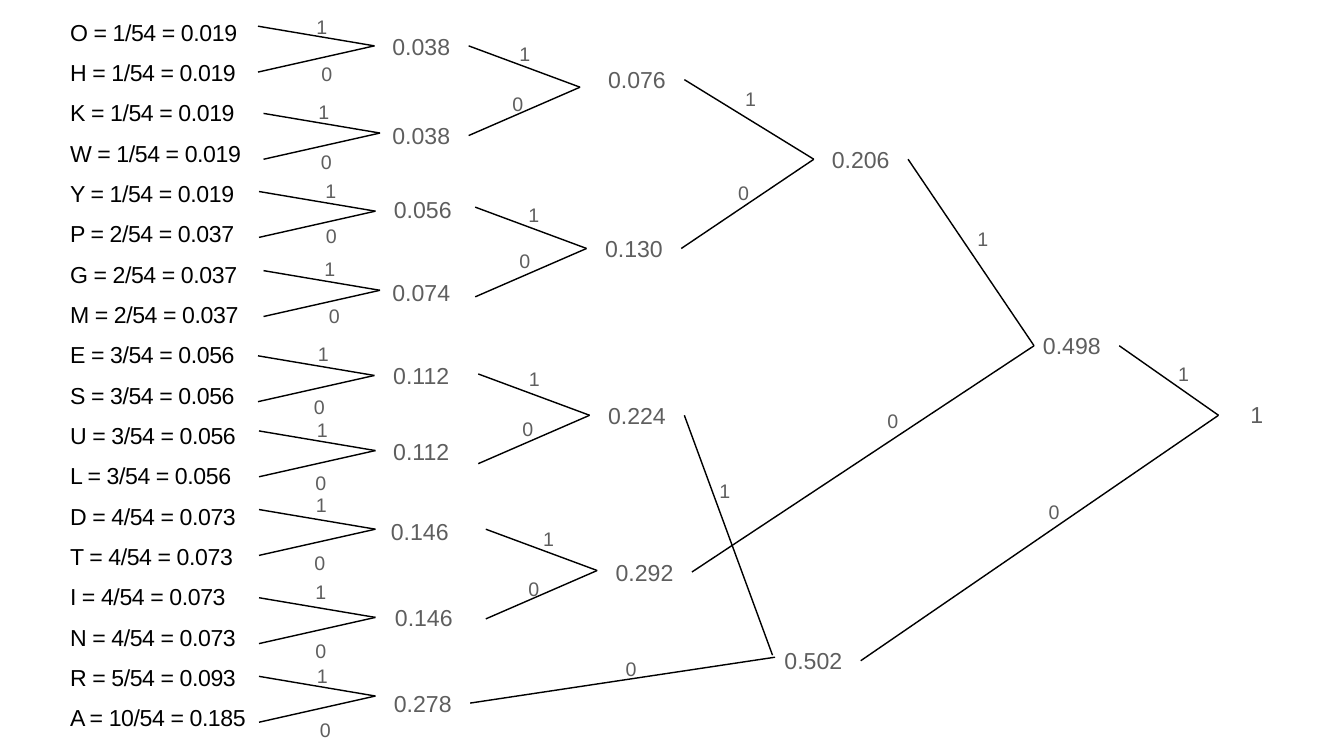
from lxml.etree import SubElement
from pptx import Presentation
from pptx.dml.color import RGBColor
from pptx.enum.shapes import MSO_CONNECTOR
from pptx.enum.text import MSO_ANCHOR, MSO_AUTO_SIZE, PP_ALIGN
from pptx.oxml.ns import qn
from pptx.util import Inches, Pt

BLACK = RGBColor(0x00, 0x00, 0x00)
GRAY = RGBColor(0x5E, 0x5E, 0x5E)
FONT = "Arial"
INSET = Inches(0.06)
VALUE_SIZE = (1.88, 0.67)
BIT_SIZE = (0.73, 0.58)

SYMBOLS = [
    ("O", 1, "0.019"), ("H", 1, "0.019"), ("K", 1, "0.019"),
    ("W", 1, "0.019"), ("Y", 1, "0.019"), ("P", 2, "0.037"),
    ("G", 2, "0.037"), ("M", 2, "0.037"), ("E", 3, "0.056"),
    ("S", 3, "0.056"), ("U", 3, "0.056"), ("L", 3, "0.056"),
    ("D", 4, "0.073"), ("T", 4, "0.073"), ("I", 4, "0.073"),
    ("N", 4, "0.073"), ("R", 5, "0.093"), ("A", 10, "0.185"),
]

# Fork rows: left and top, merged value and its place, places of bits 1 and 0.
LEAF_FORK = (2.31, 0.91, 0.39)
LEAF_MERGES = [
    ((5.12, 0.52), "0.038", (7.42, 0.58), (6.02, 0.24), (6.12, 1.17)),
    ((5.23, 2.25), "0.038", (7.42, 2.35), (6.06, 1.92), (6.11, 2.91)),
    ((5.14, 3.80), "0.056", (7.45, 3.82), (6.20, 3.49), (6.21, 4.38)),
    ((5.23, 5.37), "0.074", (7.42, 5.47), (6.18, 5.04), (6.27, 5.97)),
    ((5.12, 7.06), "0.112", (7.42, 7.12), (6.05, 6.73), (5.97, 7.77)),
    ((5.14, 8.55), "0.112", (7.42, 8.62), (6.03, 8.23), (6.00, 9.29)),
    ((5.14, 10.11), "0.146", (7.39, 10.20), (6.01, 9.73), (5.98, 10.88)),
    ((5.14, 11.86), "0.146", (7.47, 11.92), (6.00, 11.44), (6.00, 12.62)),
    ((5.14, 13.42), "0.278", (7.45, 13.62), (6.03, 13.11), (6.09, 14.19)),
]
PAIR_FORK = (2.21, 1.78, 0.82)
PAIR_MERGES = [
    ((9.30, 0.91), "0.076", (11.70, 1.24), (10.05, 0.77), (9.91, 1.76)),
    ((9.43, 4.11), "0.130", (11.64, 4.60), (10.23, 3.97), (10.05, 4.89)),
    ((9.49, 7.42), "0.224", (11.70, 7.91), (10.24, 7.23), (10.11, 8.21)),
    ((9.64, 10.50), "0.292", (11.85, 11.02), (10.52, 10.40), (10.23, 11.38)),
]

# Late rows: value and its place, then start, end and bit place for 1 and 0.
LATE_MERGES = [
    ("0.206", (16.14, 2.82),
     ((13.58, 1.58), (16.15, 3.16), (14.53, 1.66)),
     ((13.52, 4.93), (16.15, 3.16), (14.39, 3.53))),
    ("0.502", (15.20, 12.77),
     ((13.58, 8.24), (15.33, 13.00), (14.02, 9.45)),
     ((9.33, 13.95), (15.38, 13.04), (12.16, 12.97))),
    ("0.498", (20.33, 6.52),
     ((18.02, 3.16), (20.52, 6.86), (19.14, 4.45)),
     ((13.73, 11.35), (20.52, 6.86), (17.35, 8.05))),
    ("1", (24.00, 7.88),
     ((22.21, 6.86), (24.18, 8.24), (23.12, 7.12)),
     ((17.08, 13.11), (24.18, 8.24), (20.55, 9.87))),
]


def set_insets(text_frame):
    """Give a text frame the same narrow margin on every side."""
    text_frame.margin_left = text_frame.margin_right = INSET
    text_frame.margin_top = text_frame.margin_bottom = INSET


def style_run(run, size, color):
    """Set the font, size and colour of a run."""
    run.font.name = FONT
    run.font.size = Pt(size)
    run.font.color.rgb = color


def add_label(slide, place, box_size, text, size):
    """Add a centred gray label in a box of the given size."""
    label = slide.shapes.add_textbox(*map(Inches, place + box_size))
    text_frame = label.text_frame
    text_frame.word_wrap = True
    text_frame.auto_size = MSO_AUTO_SIZE.SHAPE_TO_FIT_TEXT
    text_frame.vertical_anchor = MSO_ANCHOR.MIDDLE
    set_insets(text_frame)
    text_frame.text = text
    paragraph = text_frame.paragraphs[0]
    paragraph.alignment = PP_ALIGN.CENTER
    style_run(paragraph.runs[0], size, GRAY)


def add_branch(shapes, start, end):
    """Add a plain black line from a child to its merge point."""
    branch = shapes.add_connector(
        MSO_CONNECTOR.STRAIGHT, *map(Inches, start + end))
    branch.line.color.rgb = BLACK
    branch.line.width = Pt(2)
    SubElement(branch.element.spPr, qn("a:effectLst"))


def add_fork(slide, box, tip_offset):
    """Group two branches from the left corners of a box to its right edge."""
    left, top, width, height = box
    tip = (left + width, top + tip_offset)
    fork = slide.shapes.add_group_shape()
    for start in ((left, top), (left, top + height)):
        add_branch(fork.shapes, start, tip)


def add_labels(slide, value, value_place, bit_places):
    """Add the merged value and the bits 1 and 0 of its branches."""
    add_label(slide, value_place, VALUE_SIZE, value, 33)
    for bit, place in zip("10", bit_places):
        add_label(slide, place, BIT_SIZE, bit, 28)


def add_fork_column(slide, merges, fork):
    """Add a column of equal forks with their labels."""
    width, height, tip_offset = fork
    for place, value, value_place, *bit_places in merges:
        add_fork(slide, place + (width, height), tip_offset)
        add_labels(slide, value, value_place, bit_places)


def add_late_merges(slide):
    """Add the long branches that lead to the root."""
    for value, value_place, *branches in LATE_MERGES:
        for start, end, _ in branches:
            add_branch(slide.shapes, start, end)
        add_labels(slide, value, value_place, [branch[2] for branch in branches])


def fill_symbol_list(body, box):
    """Fill the body placeholder with the symbols and their probabilities."""
    body.left, body.top, body.width, body.height = map(Inches, box)
    text_frame = body.text_frame
    text_frame.text = "\n".join(
        f"{symbol} = {count}/54 = {share}" for symbol, count, share in SYMBOLS)
    text_frame.word_wrap = True
    text_frame.auto_size = MSO_AUTO_SIZE.NONE
    text_frame.vertical_anchor = MSO_ANCHOR.TOP
    set_insets(text_frame)
    for paragraph in text_frame.paragraphs:
        paragraph.alignment = PP_ALIGN.LEFT
        paragraph.space_before = Pt(18)
        paragraph.line_spacing = Pt(39.6)
        properties = paragraph._p.get_or_add_pPr()
        properties.set("marL", "0")
        properties.set("indent", "0")
        SubElement(properties, qn("a:buNone"))
        run = paragraph.runs[0]
        style_run(run, 33, BLACK)
        run.font._element.set("spc", "-60")


def main():
    """Build the Huffman tree slide and save it."""
    presentation = Presentation()
    presentation.slide_width = Inches(26.67)
    presentation.slide_height = Inches(15)
    slide = presentation.slides.add_slide(presentation.slide_layouts[1])
    title = slide.shapes.title.element
    title.getparent().remove(title)
    fill_symbol_list(slide.placeholders[1], (1.33, 0.3, 5.64, 14.7))
    add_fork_column(slide, LEAF_MERGES, LEAF_FORK)
    add_fork_column(slide, PAIR_MERGES, PAIR_FORK)
    add_late_merges(slide)
    presentation.save("out.pptx")


if __name__ == "__main__":
    main()
